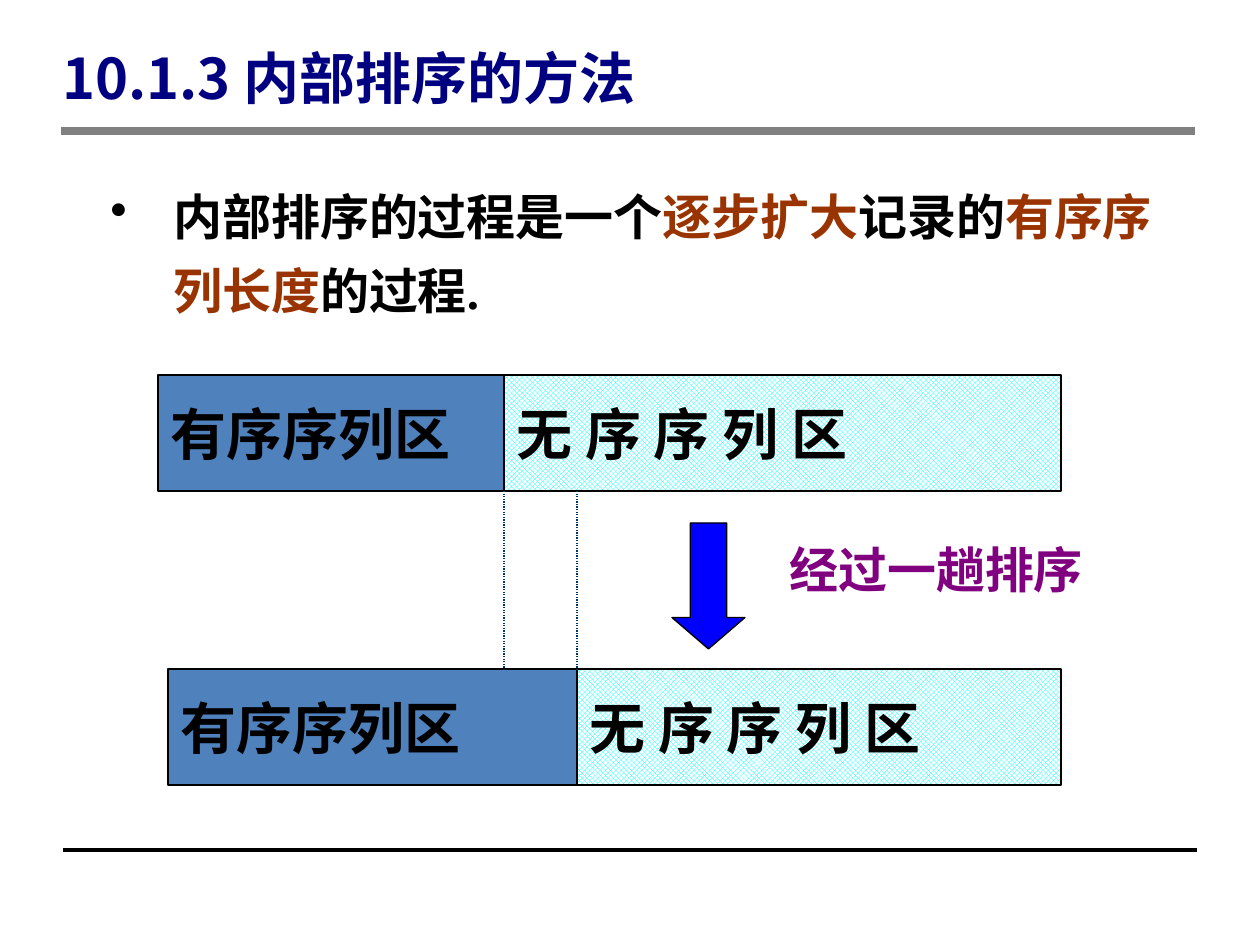
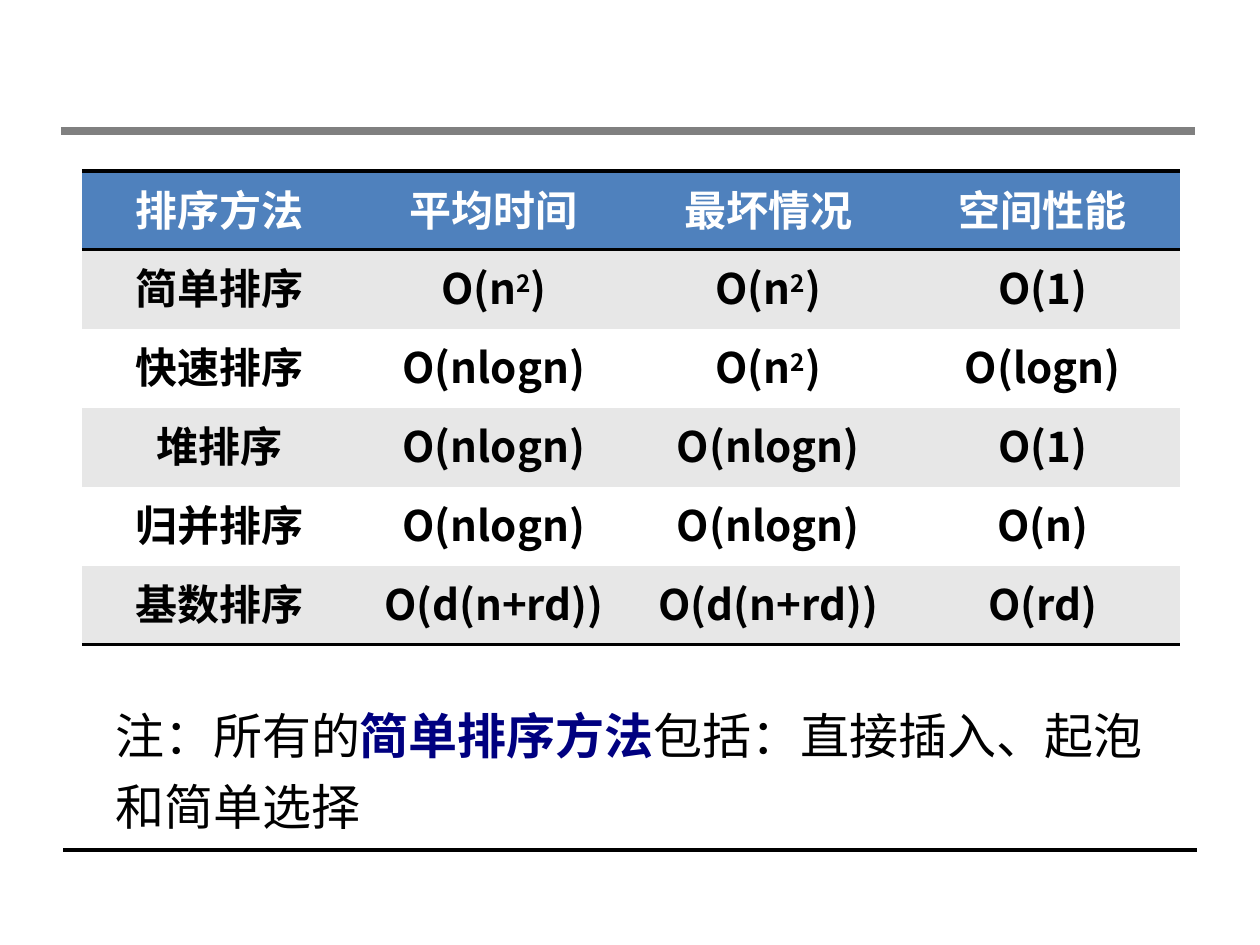
from lxml.etree import SubElement
from pptx import Presentation
from pptx.dml.color import RGBColor
from pptx.enum.dml import MSO_LINE, MSO_PATTERN
from pptx.enum.shapes import MSO_CONNECTOR, MSO_SHAPE
from pptx.enum.text import MSO_ANCHOR, MSO_AUTO_SIZE, PP_ALIGN
from pptx.oxml.ns import qn
from pptx.util import Pt

EMU_PER_PX = 914400 / 126
SANS, SERIF = "Noto Sans CJK SC", "Times New Roman"
NO_TABLE_STYLE = "{2D5ABB26-0587-4C30-8999-92F81FD0307C}"

BLACK = RGBColor(0x00, 0x00, 0x00)
WHITE = RGBColor(0xFF, 0xFF, 0xFF)
NAVY = RGBColor(0x00, 0x00, 0x80)
BROWN = RGBColor(0x99, 0x33, 0x00)
PURPLE = RGBColor(0x80, 0x00, 0x80)
GRAY = RGBColor(0x80, 0x80, 0x80)
BAND_GRAY = RGBColor(0xE7, 0xE7, 0xE7)
STEEL = RGBColor(0x4F, 0x81, 0xBD)
CYAN = RGBColor(0x00, 0xFF, 0xFF)
BLUE = RGBColor(0x00, 0x00, 0xFF)
GUIDE_BLUE = RGBColor(0x00, 0x33, 0x66)

COMPLEXITIES = [
    ["排序方法", "平均时间", "最坏情况", "空间性能"],
    ["简单排序", "O(n²)", "O(n²)", "O(1)"],
    ["快速排序", "O(nlogn)", "O(n²)", "O(logn)"],
    ["堆排序", "O(nlogn)", "O(nlogn)", "O(1)"],
    ["归并排序", "O(nlogn)", "O(nlogn)", "O(n)"],
    ["基数排序", "O(d(n+rd))", "O(d(n+rd))", "O(rd)"],
]


def px(length):
    return round(length * EMU_PER_PX)


def add_run(paragraph, text, size, color, bold=True, font=SANS):
    run = paragraph.add_run()
    run.text = text
    run.font.size, run.font.bold, run.font.name = Pt(size), bold, font
    run.font.color.rgb = color
    SubElement(run.font._element, qn("a:ea"), typeface=SANS)
    return run


def add_text(slide, box, pieces, size, font=SANS, spacing=None, grow=True):
    """Add a one-paragraph text box; pieces are (text, color, bold)."""
    frame = slide.shapes.add_textbox(*map(px, box)).text_frame
    frame.word_wrap = True
    if grow:
        frame.auto_size = MSO_AUTO_SIZE.SHAPE_TO_FIT_TEXT
    paragraph = frame.paragraphs[0]
    paragraph.line_spacing = spacing
    for text, color, bold in pieces:
        add_run(paragraph, text, size, color, bold, font)
    return frame


def add_bullet(paragraph, indent):
    properties = paragraph._p.get_or_add_pPr()
    properties.set("marL", str(px(indent)))
    properties.set("indent", str(-px(indent)))
    SubElement(properties, qn("a:buChar"), char="•")


def add_line(slide, start, end, color, width, dash=None):
    line = slide.shapes.add_connector(MSO_CONNECTOR.STRAIGHT, *map(px, start + end))
    line.line.color.rgb = color
    line.line.width = Pt(width)
    if dash:
        line.line.dash_style = dash
    SubElement(line._element.spPr, qn("a:effectLst"))


def add_outlined(slide, preset, box):
    shape = slide.shapes.add_shape(preset, *map(px, box))
    shape.shadow.inherit = False
    shape.line.color.rgb = BLACK
    shape.line.width = Pt(0.75)
    return shape


def add_zone(slide, box, label):
    zone = add_outlined(slide, MSO_SHAPE.RECTANGLE, box)
    frame = zone.text_frame
    frame.word_wrap = False
    frame.vertical_anchor = MSO_ANCHOR.MIDDLE
    frame.paragraphs[0].alignment = PP_ALIGN.LEFT
    add_run(frame.paragraphs[0], label, 32, BLACK)
    return zone


def add_sequence(slide, left, split, right, top, height):
    """Add a record sequence whose sorted zone ends at split."""
    ordered = add_zone(slide, (left, top, split - left, height), "有序序列区")
    ordered.fill.solid()
    ordered.fill.fore_color.rgb = STEEL
    unordered = add_zone(slide, (split, top, right - split, height), "无 序 序 列 区")
    unordered.fill.patterned()
    unordered.fill.pattern = MSO_PATTERN.TRELLIS
    unordered.fill.fore_color.rgb = CYAN
    unordered.fill.back_color.rgb = WHITE


def set_borders(cell, sides):
    """Draw black rules on the given sides, named lnT and lnB."""
    properties = cell._tc.get_or_add_tcPr()
    for position, side in enumerate(sides):
        border = properties.makeelement(qn(f"a:{side}"), {"w": str(Pt(2))})
        properties.insert(position, border)
        fill = SubElement(border, qn("a:solidFill"))
        SubElement(fill, qn("a:srgbClr"), val=str(BLACK))


def fill_cell(cell, text, text_color, background):
    cell.fill.solid()
    cell.fill.fore_color.rgb = background
    paragraph = cell.text_frame.paragraphs[0]
    paragraph.alignment = PP_ALIGN.CENTER
    base, square, rest = text.partition("²")
    add_run(paragraph, base, 24, text_color)
    if square:
        exponent = add_run(paragraph, "2", 24, text_color)
        exponent.font._element.set("baseline", "30000")
        add_run(paragraph, rest, 24, text_color)


def add_complexity_table(slide, left, top, width, row_height):
    rows, columns = len(COMPLEXITIES), len(COMPLEXITIES[0])
    box = (left, top, width, rows * row_height)
    table = slide.shapes.add_table(rows, columns, *map(px, box)).table
    table._tbl.tblPr.find(qn("a:tableStyleId")).text = NO_TABLE_STYLE
    for r, values in enumerate(COMPLEXITIES):
        background = STEEL if r == 0 else BAND_GRAY if r % 2 else WHITE
        sides = ["lnT", "lnB"] if r == 0 else ["lnB"] if r == rows - 1 else []
        for c, value in enumerate(values):
            cell = table.cell(r, c)
            fill_cell(cell, value, BLACK if r else WHITE, background)
            set_borders(cell, sides)


def add_ruled_slide(deck):
    slide = deck.slides.add_slide(deck.slide_layouts[6])
    add_line(slide, (63, 850), (1197, 850), BLACK, 2)
    add_line(slide, (61, 131), (1195, 131), GRAY, 5)
    return slide


def build_method_slide(deck):
    slide = add_ruled_slide(deck)
    title = add_text(slide, (50, 38, 907, 76), [("10.1.3 内部排序的方法", NAVY, True)],
                     32, spacing=Pt(40), grow=False)
    title.vertical_anchor = MSO_ANCHOR.MIDDLE
    process = [("内部排序的过程是一个", BLACK, True), ("逐步扩大", BROWN, True),
               ("记录的", BLACK, True), ("有序序列长度", BROWN, True),
               ("的过程.", BLACK, True)]
    body = add_text(slide, (98, 166, 1081, 156), process, 28, SERIF, 1.25)
    add_bullet(body.paragraphs[0], 63)
    add_text(slide, (777, 533, 378, 72), [("经过一趟排序", PURPLE, True)], 28)

    before_top, after_top, height = 375, 669, 116
    old_split, new_split, right = 504, 577, 1061
    add_sequence(slide, 158, old_split, right, before_top, height)
    add_sequence(slide, 168, new_split, right, after_top, height)
    pass_arrow = add_outlined(slide, MSO_SHAPE.DOWN_ARROW, (672, 523, 73, 126))
    pass_arrow.adjustments[1] = 0.43
    pass_arrow.fill.solid()
    pass_arrow.fill.fore_color.rgb = BLUE
    for split in (old_split, new_split):
        add_line(slide, (split, before_top + height), (split, after_top),
                 GUIDE_BLUE, 0.75, MSO_LINE.ROUND_DOT)


def build_comparison_slide(deck):
    slide = add_ruled_slide(deck)
    note = [("注：所有的", BLACK, False), ("简单排序方法", NAVY, True),
            ("包括：直接插入、起泡和简单选择", BLACK, False)]
    add_text(slide, (103, 688, 1097, 151), note, 28, SERIF, 1.2)
    add_complexity_table(slide, 82, 171, 1098, 79)


def main():
    deck = Presentation()
    deck.slide_width, deck.slide_height = px(1260), px(945)
    build_method_slide(deck)
    build_comparison_slide(deck)
    deck.save("out.pptx")


if __name__ == "__main__":
    main()
